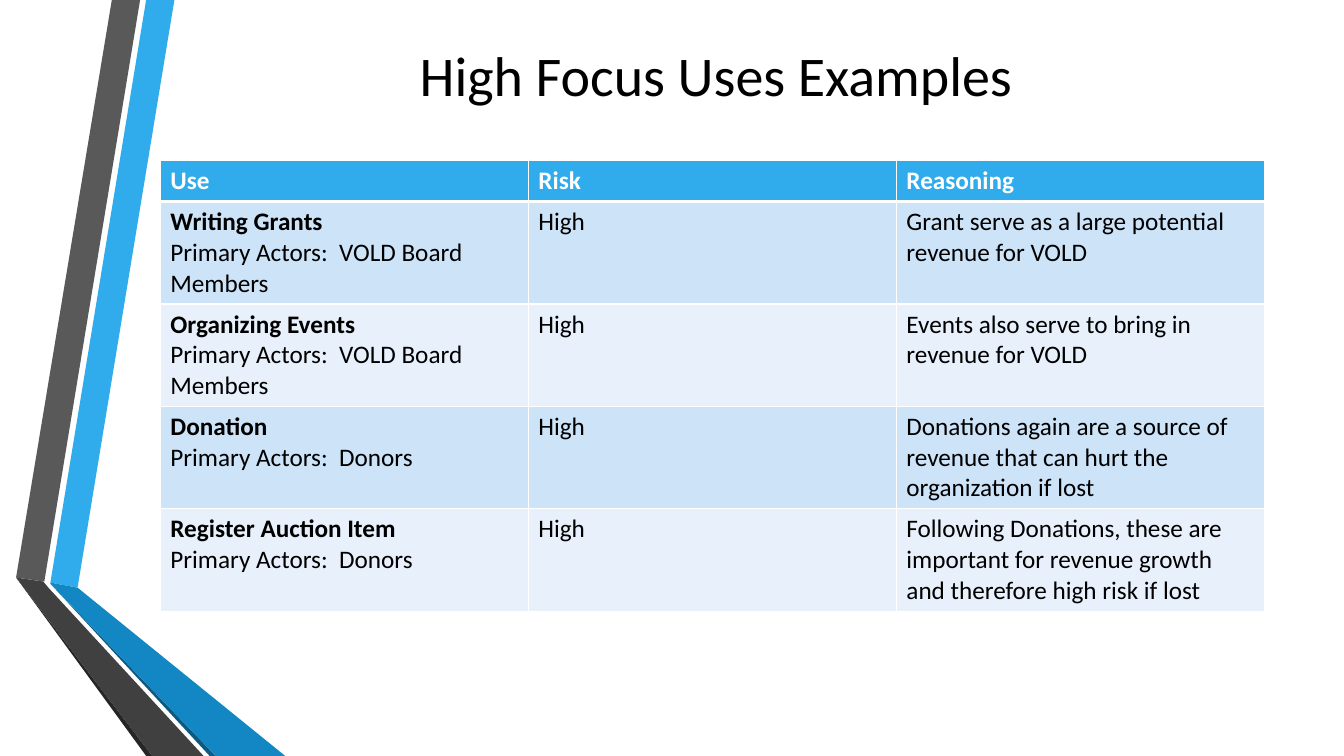
"""Builds the slide of high focus uses with its risk table and ribbon decoration."""
from dataclasses import dataclass

from lxml import etree
from pptx import Presentation
from pptx import util as u
from pptx.dml.color import RGBColor
from pptx.enum import text
from pptx.oxml.ns import qn


@dataclass(frozen=True)
class Theme:
    font: str = "Calibri"
    title_size: int = 40
    table_size: int = 18
    ink: str = "000000"
    paper: str = "FFFFFF"
    accent: str = "30ACEC"
    accent_dark: str = "1287C3"
    accent_edge: str = "0C5A82"
    gray: str = "595959"
    gray_dark: str = "404040"
    gray_edge: str = "262626"
    bands: tuple = ("CDE3F8", "E8F1FB")


class SlideBuilder:
    PX = u.Inches(1) // 100

    def __init__(self, presentation, theme):
        self.theme = theme
        layout = presentation.slide_layouts.get_by_name("Title Only")
        self.slide = presentation.slides.add_slide(layout)

    def px(self, *lengths):
        return [u.Emu(length * self.PX) for length in lengths]

    def add_run(self, paragraph, words, size, color, bold=False):
        run = paragraph.add_run()
        run.text = words
        run.font.name = self.theme.font
        run.font.size = u.Pt(size)
        run.font.bold = bold
        run.font.color.rgb = RGBColor.from_string(color)

    def title(self, words, left, top, width, height):
        shape = self.slide.shapes.title
        shape.left, shape.top, shape.width, shape.height = self.px(left, top, width, height)
        frame = shape.text_frame
        frame.auto_size = text.MSO_AUTO_SIZE.NONE
        frame.vertical_anchor = text.MSO_ANCHOR.MIDDLE
        paragraph = frame.paragraphs[0]
        paragraph.alignment = text.PP_ALIGN.CENTER
        self.add_run(paragraph, words, self.theme.title_size, self.theme.ink)

    def polygon(self, color, start, *points):
        builder = self.slide.shapes.build_freeform(*start, scale=self.PX)
        builder.add_line_segments(points, close=True)
        shape = builder.convert_to_shape()
        shape.shadow.inherit = False
        shape.fill.solid()
        shape.fill.fore_color.rgb = RGBColor.from_string(color)
        shape.line.fill.background()

    def borders(self, cell, bottom_width):
        properties = cell._tc.get_or_add_tcPr()
        for side, width in (("L", 1), ("R", 1), ("T", 1), ("B", bottom_width)):
            line = etree.SubElement(properties, qn(f"a:ln{side}"), w=str(u.Pt(width)))
            fill = etree.SubElement(line, qn("a:solidFill"))
            etree.SubElement(fill, qn("a:srgbClr"), val=self.theme.paper)

    def cell(self, cell, lines, fill, color, bottom_width=1):
        self.borders(cell, bottom_width)
        cell.fill.solid()
        cell.fill.fore_color.rgb = RGBColor.from_string(fill)
        frame = cell.text_frame
        for index, (words, bold) in enumerate(lines):
            paragraph = frame.add_paragraph() if index else frame.paragraphs[0]
            self.add_run(paragraph, words, self.theme.table_size, color, bold)

    def table(self, headings, uses, left, top, column_width, header_height, row_height):
        width = column_width * len(headings)
        height = header_height + row_height * len(uses)
        table = self.slide.shapes.add_table(
            len(uses) + 1, len(headings), *self.px(left, top, width, height)).table
        table.horz_banding = False
        for column in table.columns:
            column.width, = self.px(column_width)
        for index, row in enumerate(table.rows):
            row.height, = self.px(row_height if index else header_height)
        for column, heading in enumerate(headings):
            self.cell(table.cell(0, column), [(heading, True)],
                      self.theme.accent, self.theme.paper, bottom_width=3)
        for row, (use, actors, risk, reasoning) in enumerate(uses, start=1):
            band = self.theme.bands[(row - 1) % 2]
            use_lines = [(use, True), (f"Primary Actors:  {actors}", False)]
            for column, lines in enumerate((use_lines, [(risk, False)], [(reasoning, False)])):
                self.cell(table.cell(row, column), lines, band, self.theme.ink)


def main():
    presentation = Presentation()
    presentation.slide_width = u.Inches(13.33)
    presentation.slide_height = u.Inches(7.5)
    theme = Theme()
    builder = SlideBuilder(presentation, theme)

    builder.polygon(theme.accent, (50, 578), (77, 583), (173, 0), (145, 0))
    builder.polygon(theme.gray, (139, 0), (111, 0), (16, 573), (44, 577))
    builder.polygon(theme.gray_edge, (16, 573), (145, 750), (151, 750))
    builder.polygon(theme.accent_edge, (50, 579), (208, 750), (214, 750))
    builder.polygon(theme.accent_dark, (50, 578), (50, 579), (214, 750), (283, 750), (77, 583))
    builder.polygon(theme.gray_dark, (16, 573), (151, 750), (202, 750), (48, 583), (43, 577))

    builder.title("High Focus Uses Examples", 162, -22, 1096, 192)
    uses = [
        ("Writing Grants", "VOLD Board Members", "High",
         "Grant serve as a large potential revenue for VOLD"),
        ("Organizing Events", "VOLD Board Members", "High",
         "Events also serve to bring in revenue for VOLD"),
        ("Donation", "Donors", "High",
         "Donations again are a source of revenue that can hurt the organization if lost"),
        ("Register Auction Item", "Donors", "High",
         "Following Donations, these are important for revenue growth "
         "and therefore high risk if lost"),
    ]
    builder.table(("Use", "Risk", "Reasoning"), uses, left=159, top=159,
                  column_width=365, header_height=41, row_height=101)
    presentation.save("out.pptx")


if __name__ == "__main__":
    main()
